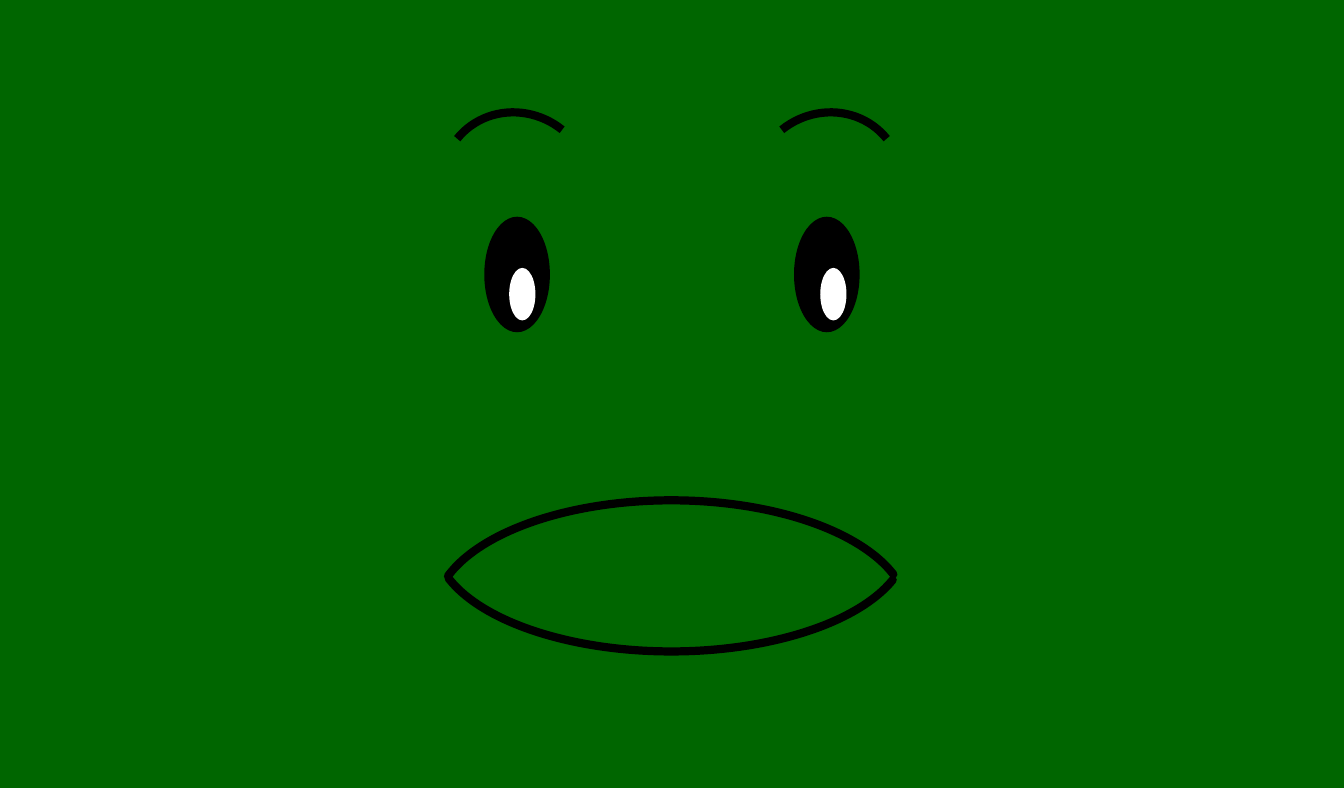
from pptx import Presentation
from pptx.dml.color import RGBColor
from pptx.enum.shapes import MSO_SHAPE
from pptx.oxml.ns import qn
from pptx.util import Inches, Pt

ARC = MSO_SHAPE.ARC
OVAL = MSO_SHAPE.OVAL
COLORS = {"green": "006600", "black": "000000", "white": "FFFFFF"}


def add_oval(page, left, top, width, height, color):
    oval = page.shapes.add_shape(
        OVAL, Inches(left), Inches(top), Inches(width), Inches(height)
    )
    oval.shadow.inherit = False
    oval.fill.solid()
    oval.fill.fore_color.rgb = RGBColor.from_string(COLORS[color])
    oval.line.fill.background()


def add_arc(page, left, top, width, height, rotation=0, flip=None):
    arc = page.shapes.add_shape(
        ARC, Inches(left), Inches(top), Inches(width), Inches(height)
    )
    arc.shadow.inherit = False
    arc.fill.background()
    arc.line.color.rgb = RGBColor.from_string(COLORS["black"])
    arc.line.width = Pt(4.5)
    arc.rotation = rotation
    if flip:
        arc.element.spPr.find(qn("a:xfrm")).set(flip, "1")
    return arc


deck = Presentation()
deck.slide_width = Inches(10.24)
deck.slide_height = Inches(6)
page = deck.slides.add_slide(deck.slide_layouts[6])
page.background.fill.solid()
page.background.fill.fore_color.rgb = RGBColor.from_string(COLORS["green"])

for eye_left, pupil_left in ((3.69, 3.88), (6.05, 6.25)):
    add_oval(page, eye_left, 1.65, 0.5, 0.88, "black")
    add_oval(page, pupil_left, 2.04, 0.2, 0.4, "white")

for lip_top, lip_height, flip in ((3.81, 1.73, None), (3.27, 1.69, "flipV")):
    lip = add_arc(page, 3.31, lip_top, 3.61, lip_height, flip=flip)
    lip.adjustments[0] = 113.78
    lip.adjustments[1] = 209.94
    lip.element.spPr.find(qn("a:ln")).set("cap", "rnd")

brow_tilt = 51.1
add_arc(page, 3.38, 0.84, 1.11, 1.16, rotation=-brow_tilt)
add_arc(page, 5.75, 0.84, 1.11, 1.16, rotation=brow_tilt, flip="flipH")

deck.save("out.pptx")
